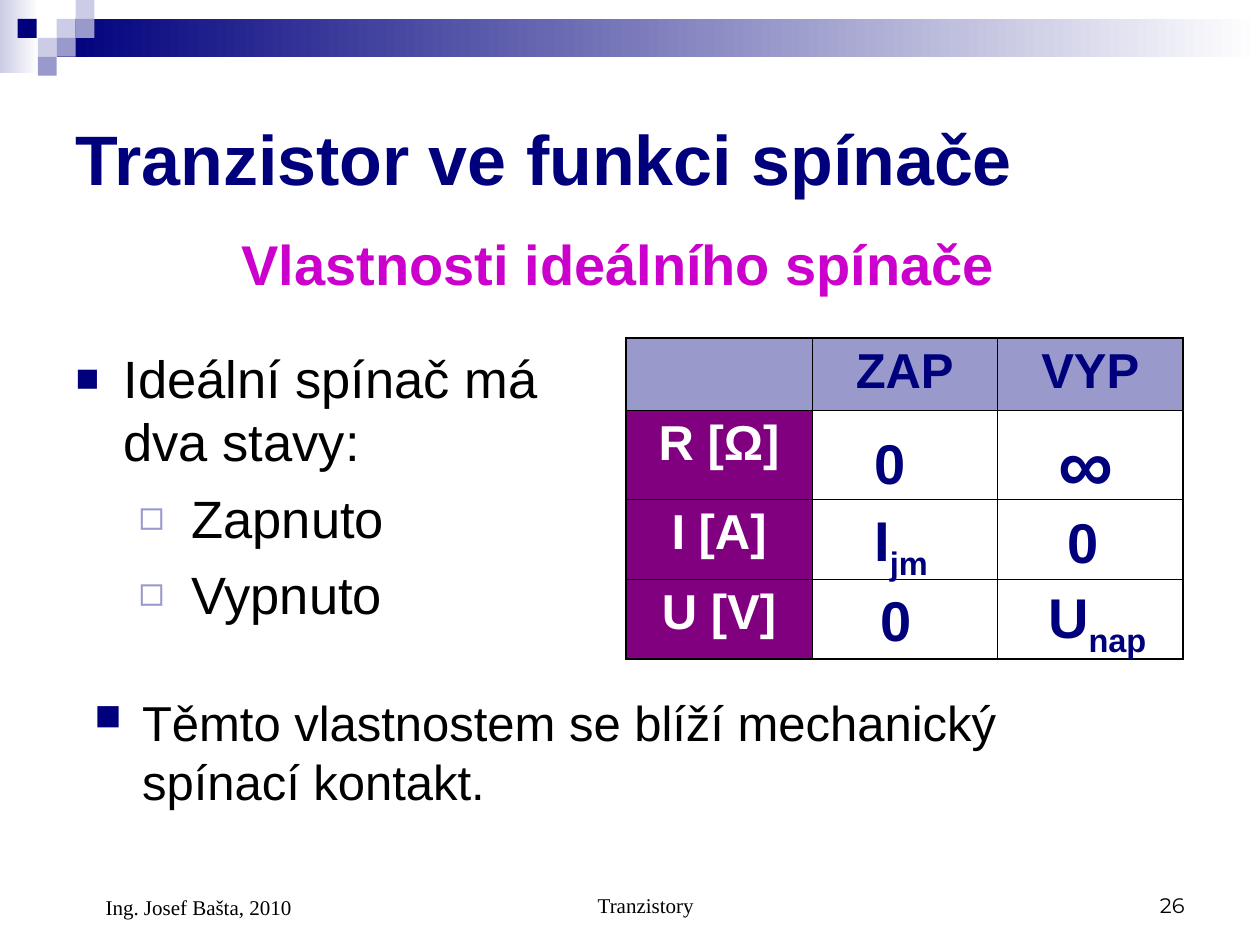
"""Build the slide on the transistor as an ideal switch, laid out on a grid of tenths of an inch."""
from dataclasses import dataclass
from typing import Optional

from lxml.etree import SubElement
from pptx import Presentation
from pptx.dml.color import RGBColor
from pptx.enum.shapes import MSO_SHAPE
from pptx.enum.text import MSO_ANCHOR, MSO_AUTO_SIZE, PP_ALIGN
from pptx.oxml import parse_xml
from pptx.oxml.ns import nsdecls, qn
from pptx.util import Inches, Pt


@dataclass(frozen=True)
class Theme:
    """Colours, fonts and type sizes."""
    navy: str = "00007D"
    blue: str = "9999CC"
    pale: str = "CCCCE6"
    purple: str = "800080"
    magenta: str = "CC00CC"
    black: str = "000000"
    white: str = "FFFFFF"
    sans: str = "Arial"
    serif: str = "Times New Roman"
    number_font: str = "Montserrat"
    title: int = 40
    heading: int = 32
    infinity: int = 44
    body: int = 30
    table: int = 28
    footer: int = 12
    thin: float = 0.45
    thick: float = 1.08


THEME = Theme()
COLUMNS, ROWS = 100, 75
STEP = 1.5


@dataclass(frozen=True)
class Box:
    """Place and size in grid columns and rows."""
    left: float
    top: float
    width: float
    height: float

    def lengths(self) -> tuple:
        """Return the four lengths of the box."""
        return tuple(grid(value) for value in (self.left, self.top, self.width, self.height))


@dataclass(frozen=True)
class Style:
    """Look of one paragraph."""
    size: int
    color: str = THEME.black
    bold: bool = False
    font: str = THEME.sans
    align: PP_ALIGN = PP_ALIGN.LEFT
    before: float = 0
    margin: float = 0
    indent: float = 0


@dataclass(frozen=True)
class Bullet:
    """Sign, colour and percentage of the text size."""
    sign: str
    color: str
    percent: int


@dataclass(frozen=True)
class Value:
    """Reading placed over a table cell."""
    box: Box
    text: str
    subscript: str = ""
    size: int = THEME.heading


@dataclass(frozen=True)
class Footer:
    """Line of text at the foot of the slide."""
    box: Box
    text: str
    style: Style


SQUARE_BULLET = Bullet("■", THEME.navy, 75)
OPEN_BULLET = Bullet("◻", THEME.blue, 80)
SQUARES = (
    (0.45, 0.15, THEME.pale), (0.6, 0, THEME.pale), (0.6, 0.15, THEME.blue), (0.3, 0.3, THEME.pale),
    (0.14, 0.15, THEME.navy), (0.45, 0.3, THEME.blue), (0.3, 0.45, THEME.blue),
)
STATES = (("Ideální spínač má dva stavy:", 0), ("Zapnuto", 1), ("Vypnuto", 1))
TABLE_ROWS = (("", "ZAP", "VYP"), ("R [Ω]", "", ""), ("I [A]", "", ""), ("U [V]", "", ""))
ROW_HEIGHTS = (5.74, 7.06, 6.35, 6.35)
VALUES = (
    Value(Box(83.7, 39.8, 5.2, 6.4), "0"),
    Value(Box(83, 32.5, 7.7, 8.4), "∞", size=THEME.infinity),
    Value(Box(68.4, 33.5, 5.2, 6.4), "0"),
    Value(Box(82.2, 45.7, 12.2, 7.1), "U", "nap"),
    Value(Box(68.4, 39.6, 10.6, 7.1), "I", "jm"),
    Value(Box(68.9, 46, 5.2, 6.4), "0"),
)
FOOTERS = (
    Footer(Box(34.2, 68.3, 31.7, 5), "Tranzistory",
           Style(THEME.footer, font=THEME.serif, align=PP_ALIGN.CENTER, margin=2.4)),
    Footer(Box(71.7, 68.3, 23.3, 5), "26",
           Style(THEME.footer, font=THEME.number_font, align=PP_ALIGN.RIGHT)),
    Footer(Box(5, 68.3, 23.3, 5.2), "Ing. Josef Bašta, 2010",
           Style(THEME.footer, font=THEME.serif, margin=2.4)),
)


def grid(steps: float) -> int:
    """Turn grid steps into a length."""
    return Inches(steps / 10)


def format_paragraph(paragraph, style: Style, bullet: Optional[Bullet] = None) -> None:
    """Apply a style and an optional bullet to a paragraph."""
    paragraph.alignment = style.align
    paragraph.space_before = Pt(style.before)
    properties = paragraph._p.get_or_add_pPr()
    properties.set("marL", str(grid(style.margin)))
    properties.set("indent", str(grid(style.indent)))
    if bullet:
        SubElement(SubElement(properties, qn("a:buClr")), qn("a:srgbClr")).set("val", bullet.color)
        SubElement(properties, qn("a:buSzPct")).set("val", str(bullet.percent * 1000))
        SubElement(properties, qn("a:buChar")).set("char", bullet.sign)
    for run in paragraph.runs:
        run.font.size = Pt(style.size)
        run.font.name = style.font
        run.font.bold = style.bold
        run.font.color.rgb = RGBColor.from_string(style.color)


def add_block(slide, box: Box, anchor=MSO_ANCHOR.TOP, fit=MSO_AUTO_SIZE.NONE):
    """Add a wrapping text box and return its text frame."""
    frame = slide.shapes.add_textbox(*box.lengths()).text_frame
    frame.word_wrap = True
    frame.auto_size = fit
    frame.vertical_anchor = anchor
    return frame


def add_text(slide, box: Box, text: str, style: Style, bullet=None, anchor=MSO_ANCHOR.TOP) -> None:
    """Add a text box with one paragraph."""
    frame = add_block(slide, box, anchor)
    frame.text = text
    format_paragraph(frame.paragraphs[0], style, bullet)


def add_value(slide, value: Value) -> None:
    """Add a reading with its subscript."""
    frame = add_block(slide, value.box, fit=MSO_AUTO_SIZE.SHAPE_TO_FIT_TEXT)
    frame.text = value.text
    paragraph = frame.paragraphs[0]
    if value.subscript:
        run = paragraph.add_run()
        run.text = value.subscript
        run._r.get_or_add_rPr().set("baseline", "-25000")
    format_paragraph(paragraph, Style(value.size, THEME.navy, True, before=value.size * 0.625))


def add_rectangle(slide, box: Box, *colors: str) -> None:
    """Add a borderless rectangle, plain or fading from right to left."""
    shape = slide.shapes.add_shape(MSO_SHAPE.RECTANGLE, *box.lengths())
    shape.shadow.inherit = False
    shape.line.fill.background()
    if len(colors) == 1:
        shape.fill.solid()
        shape.fill.fore_color.rgb = RGBColor.from_string(colors[0])
        return
    shape.fill.gradient()
    shape.fill.gradient_angle = 180
    for stop, color in zip(shape.fill.gradient_stops, colors):
        stop.color.rgb = RGBColor.from_string(color)


def set_borders(cell, outer_sides: dict) -> None:
    """Draw thick outer and thin inner cell borders."""
    for position, (side, outer) in enumerate(outer_sides.items()):
        width = Pt(THEME.thick if outer else THEME.thin)
        cell._tc.get_or_add_tcPr().insert(position, parse_xml(
            f'<a:ln{side} {nsdecls("a")} w="{width}"><a:solidFill>'
            f'<a:srgbClr val="{THEME.black}"/></a:solidFill></a:ln{side}>'))


def add_switch_table(slide) -> None:
    """Add the table of switch states."""
    last_row, last_column = len(TABLE_ROWS) - 1, len(TABLE_ROWS[0]) - 1
    box = Box(49.7, 26.8, 44.2, sum(ROW_HEIGHTS))
    table = slide.shapes.add_table(last_row + 1, last_column + 1, *box.lengths()).table
    for row, height in zip(table.rows, ROW_HEIGHTS):
        row.height = grid(height)
    for row, texts in enumerate(TABLE_ROWS):
        for column, text in enumerate(texts):
            cell = table.cell(row, column)
            fill = THEME.blue if row == 0 else THEME.purple if column == 0 else None
            if fill:
                cell.fill.solid()
                cell.fill.fore_color.rgb = RGBColor.from_string(fill)
            else:
                cell.fill.background()
            cell.text_frame.text = text
            color = THEME.white if row else THEME.navy
            format_paragraph(cell.text_frame.paragraphs[0],
                             Style(THEME.table, color, True, align=PP_ALIGN.CENTER, before=7))
            set_borders(cell, {"L": column == 0, "R": column == last_column,
                               "T": row == 0, "B": row == last_row})


def fill_placeholder(shape, box: Box, text: str, anchor: MSO_ANCHOR):
    """Move a placeholder, set its text and return its paragraphs."""
    shape.left, shape.top, shape.width, shape.height = box.lengths()
    shape.text_frame.text = text
    shape.text_frame.auto_size = MSO_AUTO_SIZE.NONE
    shape.text_frame.vertical_anchor = anchor
    return shape.text_frame.paragraphs


def main() -> None:
    """Build and save the presentation."""
    presentation = Presentation()
    presentation.slide_width, presentation.slide_height = grid(COLUMNS), grid(ROWS)
    slide = presentation.slides.add_slide(presentation.slide_layouts[1])
    add_rectangle(slide, Box(0, 0, 3.1, 5.8), THEME.white, THEME.pale)
    add_rectangle(slide, Box(4.5, STEP, COLUMNS - 4.5, 3), THEME.white, THEME.navy)
    for left, top, color in SQUARES:
        add_rectangle(slide, Box(left * 10, top * 10, STEP, STEP), color)
    title, body = slide.placeholders
    for paragraph in fill_placeholder(title, Box(5, 5, 90, 15), "Tranzistor ve funkci spínače", MSO_ANCHOR.MIDDLE):
        format_paragraph(paragraph, Style(THEME.title, THEME.navy, True))
    listing = "\n".join(text for text, _ in STATES)
    paragraphs = fill_placeholder(body, Box(5, 27, 43.3, 23.5), listing, MSO_ANCHOR.TOP)
    for paragraph, (_, level) in zip(paragraphs, STATES):
        paragraph.level = level
        margin, indent = ((3.8, -3.8), (9.2, -4.2))[level]
        format_paragraph(paragraph, Style(THEME.body, before=7.5, margin=margin, indent=indent),
                         (SQUARE_BULLET, OPEN_BULLET)[level])
    add_switch_table(slide)
    add_text(slide, Box(4.2, 17.7, 89.8, 7), "Vlastnosti ideálního spínače",
             Style(THEME.heading, THEME.magenta, True, align=PP_ALIGN.CENTER, before=8, margin=3.8, indent=-3.8))
    add_text(slide, Box(6.5, 54.5, 83.7, 11), "Těmto vlastnostem se blíží mechanický spínací kontakt.",
             Style(THEME.table, before=7, margin=3.8, indent=-3.8), SQUARE_BULLET)
    for value in VALUES:
        add_value(slide, value)
    for footer in FOOTERS:
        add_text(slide, footer.box, footer.text, footer.style, anchor=MSO_ANCHOR.BOTTOM)
    presentation.save("out.pptx")


if __name__ == "__main__":
    main()
